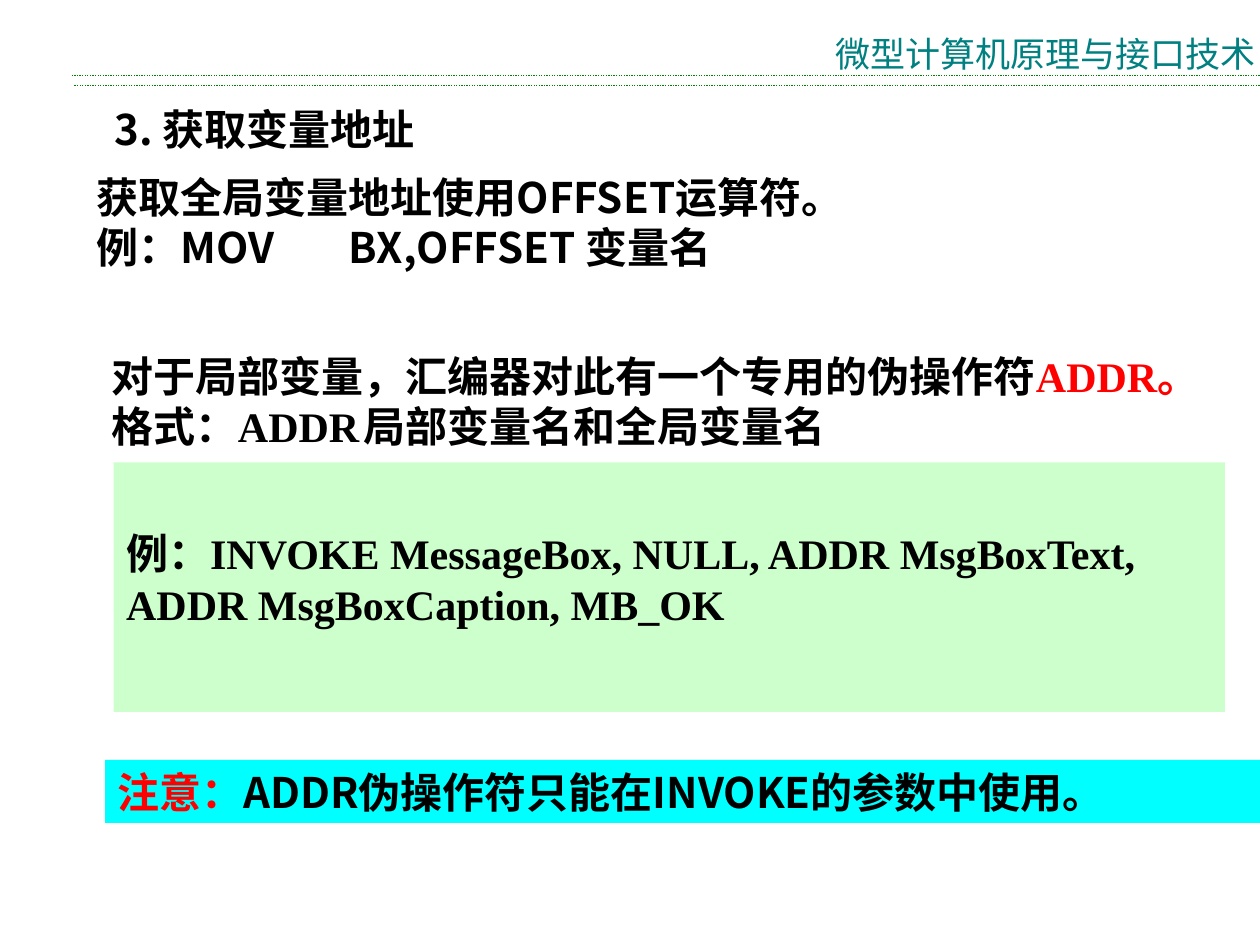
from dataclasses import dataclass

from lxml import etree
from pptx import Presentation
from pptx.dml.color import RGBColor
from pptx.enum.dml import MSO_LINE
from pptx.enum.shapes import MSO_CONNECTOR, MSO_SHAPE
from pptx.enum.text import MSO_ANCHOR, PP_ALIGN
from pptx.oxml.ns import qn
from pptx.util import Pt

STRAIGHT = MSO_CONNECTOR.STRAIGHT
RECTANGLE = MSO_SHAPE.RECTANGLE
TOP = MSO_ANCHOR.TOP
LEFT, CENTER, JUSTIFY = PP_ALIGN.LEFT, PP_ALIGN.CENTER, PP_ALIGN.JUSTIFY
DOTTED = MSO_LINE.ROUND_DOT


@dataclass(frozen=True)
class Theme:
    ink: RGBColor = RGBColor(0, 0, 0)
    accent: RGBColor = RGBColor(255, 0, 0)
    header: RGBColor = RGBColor(0, 128, 128)
    rule: RGBColor = RGBColor(0, 128, 0)
    example: RGBColor = RGBColor(204, 255, 204)
    notice: RGBColor = RGBColor(0, 255, 255)
    sans: str = "Noto Sans CJK SC"
    serif: str = "Times New Roman"
    header_size: int = 20
    body_size: int = 24
    tab_step: int = 72
    tab_count: int = 7


THEME = Theme()
WIDTH, HEIGHT = 720, 540


def set_values(target, values):
    for name, value in values.items():
        setattr(target, name, value)


def add_tabs(para):
    tabs = etree.SubElement(para._p.get_or_add_pPr(), qn("a:tabLst"))
    for step in range(1, THEME.tab_count + 1):
        position = Pt(step * THEME.tab_step)
        etree.SubElement(tabs, qn("a:tab"), pos=str(position), algn="l")


def add_span(para, text, color, face, size, bold):
    span = para.add_run()
    span.text = text
    set_values(span.font, {"name": face, "size": Pt(size), "bold": bold})
    span.font.color.rgb = color
    east = etree.SubElement(span._r.get_or_add_rPr(), qn("a:ea"))
    east.set("typeface", THEME.sans)


def add_text(page, box, paragraphs, fill=None, face=THEME.sans, size=THEME.body_size,
             bold=True, align=JUSTIFY, inset=(7.2, 3.6, 7.2)):
    place = [Pt(value) for value in box]
    if fill is None:
        shape = page.shapes.add_textbox(*place)
    else:
        shape = page.shapes.add_shape(RECTANGLE, *place)
        shape.shadow.inherit = False
        shape.fill.solid()
        shape.fill.fore_color.rgb = fill
        shape.line.fill.background()
    frame = shape.text_frame
    left, top, right = inset
    set_values(frame, {
        "word_wrap": True, "vertical_anchor": TOP,
        "margin_left": Pt(left), "margin_top": Pt(top),
        "margin_right": Pt(right), "margin_bottom": Pt(3.6),
    })
    for index, spans in enumerate(paragraphs):
        para = frame.add_paragraph() if index else frame.paragraphs[0]
        para.alignment = align
        add_tabs(para)
        for text, color in spans:
            add_span(para, text, color, face, size, bold)


def add_header(page, box):
    left, top, width, height = box
    for start, offset in ((left + 1.5, height), (left, height - 6)):
        y = Pt(top + offset)
        rule = page.shapes.add_connector(STRAIGHT, Pt(start), y, Pt(left + width), y)
        set_values(rule.line, {"width": Pt(0.75), "dash_style": DOTTED})
        rule.line.color.rgb = THEME.rule
        etree.SubElement(rule._element.spPr, qn("a:effectLst"))
    title_width = 245
    add_text(page, (left + width - title_width, top, title_width, height - 6),
             [[("微型计算机原理与接口技术", THEME.header)]],
             size=THEME.header_size, bold=False, align=CENTER, inset=(0, 3.6, 0))


def add_heading(page, box):
    add_text(page, box, [[("3. 获取变量地址", THEME.ink)]], inset=(23, 4.3, 7.2))


def add_global_rule(page, box):
    add_text(page, box, [
        [("获取全局变量地址使用OFFSET运算符。", THEME.ink)],
        [("例：MOV\tBX,OFFSET 变量名", THEME.ink)],
    ])


def add_local_rule(page, box):
    add_text(page, box, [
        [("对于局部变量，汇编器对此有一个专用的伪操作符", THEME.ink), ("ADDR。", THEME.accent)],
        [("格式：ADDR\t局部变量名和全局变量名", THEME.ink)],
    ], face=THEME.serif, align=LEFT)


def add_example(page, box):
    text = "例：INVOKE MessageBox, NULL, ADDR MsgBoxText, ADDR MsgBoxCaption, MB_OK"
    add_text(page, box, [[(text, THEME.ink)]], fill=THEME.example,
             face=THEME.serif, align=LEFT, inset=(7.2, 37.5, 7.2))


def add_notice(page, box):
    add_text(page, box, [
        [("注意：", THEME.accent), ("ADDR伪操作符只能在INVOKE的参数中使用。", THEME.ink)],
    ], fill=THEME.notice)


def main():
    deck = Presentation()
    set_values(deck, {"slide_width": Pt(WIDTH), "slide_height": Pt(HEIGHT)})
    page = deck.slides.add_slide(deck.slide_layouts[6])
    add_header(page, (41, 15, WIDTH - 41, 34))
    add_heading(page, (42.5, 54.7, 607, 65.5))
    add_global_rule(page, (48.2, 94.3, 658, 93.6))
    add_notice(page, (60, 434.2, WIDTH - 60, 36))
    add_local_rule(page, (56.9, 196.6, WIDTH - 56.9, 64.8))
    add_example(page, (65, 264.2, 635, 142.6))
    deck.save("out.pptx")


if __name__ == "__main__":
    main()
